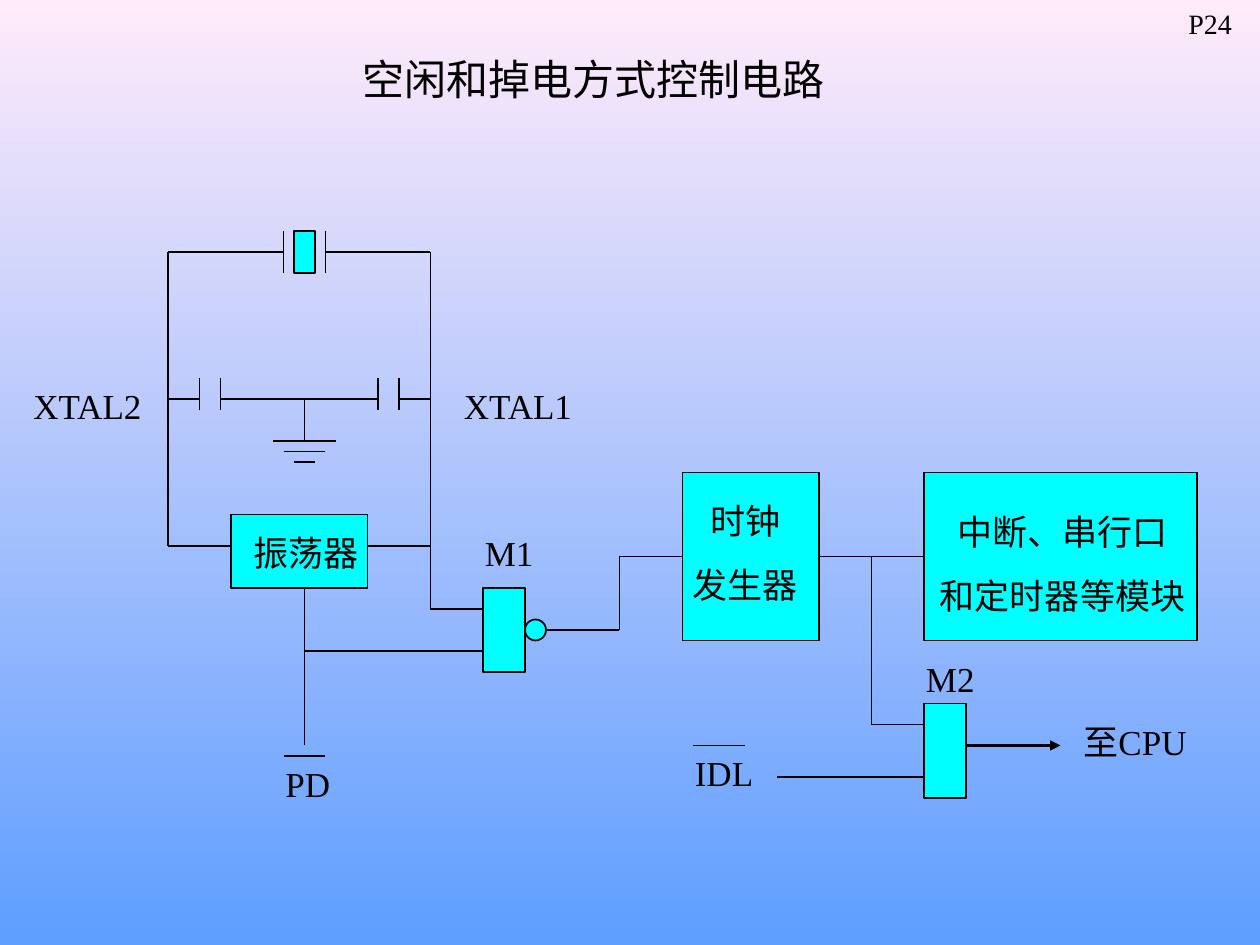
from dataclasses import dataclass

from lxml.etree import SubElement
from pptx import Presentation
from pptx.dml.color import RGBColor
from pptx.enum.shapes import MSO_CONNECTOR, MSO_SHAPE
from pptx.enum.text import MSO_ANCHOR, PP_ALIGN
from pptx.oxml.ns import qn
from pptx.util import Inches, Pt


@dataclass(frozen=True)
class Theme:
    ink: RGBColor = RGBColor.from_string("000000")
    fill: RGBColor = RGBColor.from_string("00FFFF")
    top: RGBColor = RGBColor.from_string("FFEBFA")
    base: RGBColor = RGBColor.from_string("5E9EFF")
    font: str = "Times New Roman"
    title: float = 24
    body: float = 20
    page: float = 16
    line: float = 1
    arrow: float = 1.25


THEME = Theme()
GRID = 12


def grid(*units):
    return [Inches(unit / GRID) for unit in units]


class Region:
    def __init__(self, slide, left, top):
        self.shapes = slide.shapes
        self.left = left
        self.top = top

    def place(self, x, y):
        return grid(self.left + x, self.top + y)

    def wire(self, *points, width=THEME.line):
        for start, end in zip(points, points[1:]):
            line = self.shapes.add_connector(
                MSO_CONNECTOR.STRAIGHT, *self.place(*start), *self.place(*end))
            line.line.color.rgb = THEME.ink
            line.line.width = Pt(width)
            SubElement(line._element.spPr, qn("a:effectLst"))
        return line

    def block(self, x, y, w, h, kind=MSO_SHAPE.RECTANGLE):
        shape = self.shapes.add_shape(kind, *self.place(x, y), *grid(w, h))
        shape.shadow.inherit = False
        shape.fill.solid()
        shape.fill.fore_color.rgb = THEME.fill
        shape.line.color.rgb = THEME.ink
        shape.line.width = Pt(THEME.line)

    def label(self, text, x, y, w, h=5.28, size=THEME.body, align=PP_ALIGN.LEFT):
        frame = self.shapes.add_textbox(*self.place(x, y), *grid(w, h)).text_frame
        frame.word_wrap = True
        frame.text = text
        for para in frame.paragraphs:
            para.alignment = align
            para.space_before = Pt(size * 0.625)
            for run in para.runs:
                run.font.name = THEME.font
                run.font.size = Pt(size)
                run.font.color.rgb = THEME.ink
        return frame


def header(slide, left, top):
    area = Region(slide, left, top)
    title = area.label("空闲和掉电方式控制电路", 28, 5, 57, 5, THEME.title, PP_ALIGN.CENTER)
    title.vertical_anchor = MSO_ANCHOR.MIDDLE
    title.paragraphs[0].space_before = Pt(0)
    area.label("P24", 112, 0, 8, 4.4, THEME.page)


def oscillator(slide, left, top):
    area = Region(slide, left, top)
    area.wire((11, 2), (0, 2), (0, 30), (6, 30))
    area.wire((15, 2), (25, 2), (25, 36), (30, 36))
    for x in (11, 15):
        area.wire((x, 0), (x, 4))
    area.block(12, 0, 2, 4)
    for x in (3, 5, 20, 22):
        area.wire((x, 14), (x, 17))
    for start, end in ((0, 3), (5, 20), (22, 25)):
        area.wire((start, 16), (end, 16))
    area.wire((13, 16), (13, 20))
    for step in range(3):
        half = 3 - step
        area.wire((13 - half, 20 + step), (13 + half, 20 + step))
    area.block(6, 27, 13, 7)
    area.wire((19, 30), (25, 30))
    area.wire((13, 34), (13, 49))
    area.wire((30, 40), (13, 40))
    area.wire((11, 50), (15, 50))
    area.label("振荡器", 7, 28, 19)
    area.label("XTAL2", -14, 14, 24)
    area.label("XTAL1", 27, 14, 17)
    area.label("PD", 10, 50, 12)


def clock_gate(slide, left, top):
    area = Region(slide, left, top)
    area.block(4, 3, 2, 2, MSO_SHAPE.OVAL)
    area.block(0, 0, 4, 8)
    area.wire((6, 4), (13, 4), (13, -3), (19, -3))
    area.label("M1", -1, -6, 12)


def modules(slide, left, top):
    area = Region(slide, left, top)
    area.block(0, 0, 13, 16)
    area.block(23, 0, 26, 16)
    area.wire((13, 8), (23, 8))
    area.label("时钟\n发生器", -2, 2, 16, 11.28, align=PP_ALIGN.CENTER)
    area.label("中断、串行口\n和定时器等模块", 22, 3, 28.4, 11.28, align=PP_ALIGN.CENTER)


def cpu_gate(slide, left, top):
    area = Region(slide, left, top)
    area.wire((-5, -14), (-5, 2), (0, 2))
    area.block(0, 0, 4, 9)
    area.wire((0, 7), (-14, 7))
    area.wire((-22, 4), (-17, 4))
    arrow = area.wire((4, 4), (13, 4), width=THEME.arrow)
    SubElement(arrow.line._get_or_add_ln(), qn("a:tailEnd"), type="triangle")
    area.label("IDL", -23, 4, 17)
    area.label("M2", -1, -5, 10)
    area.label("至CPU", 14, 1, 14)


def backdrop(slide):
    fill = slide.background.fill
    fill.gradient()
    fill.gradient_angle = 270
    for stop, color in zip(fill.gradient_stops, (THEME.top, THEME.base)):
        stop.color.rgb = color


def main():
    deck = Presentation()
    deck.slide_width, deck.slide_height = Inches(10), Inches(7.5)
    slide = deck.slides.add_slide(deck.slide_layouts[6])
    backdrop(slide)
    oscillator(slide, 16, 22)
    clock_gate(slide, 46, 56)
    modules(slide, 65, 45)
    cpu_gate(slide, 88, 67)
    header(slide, 0, 0)
    deck.save("out.pptx")


if __name__ == "__main__":
    main()
